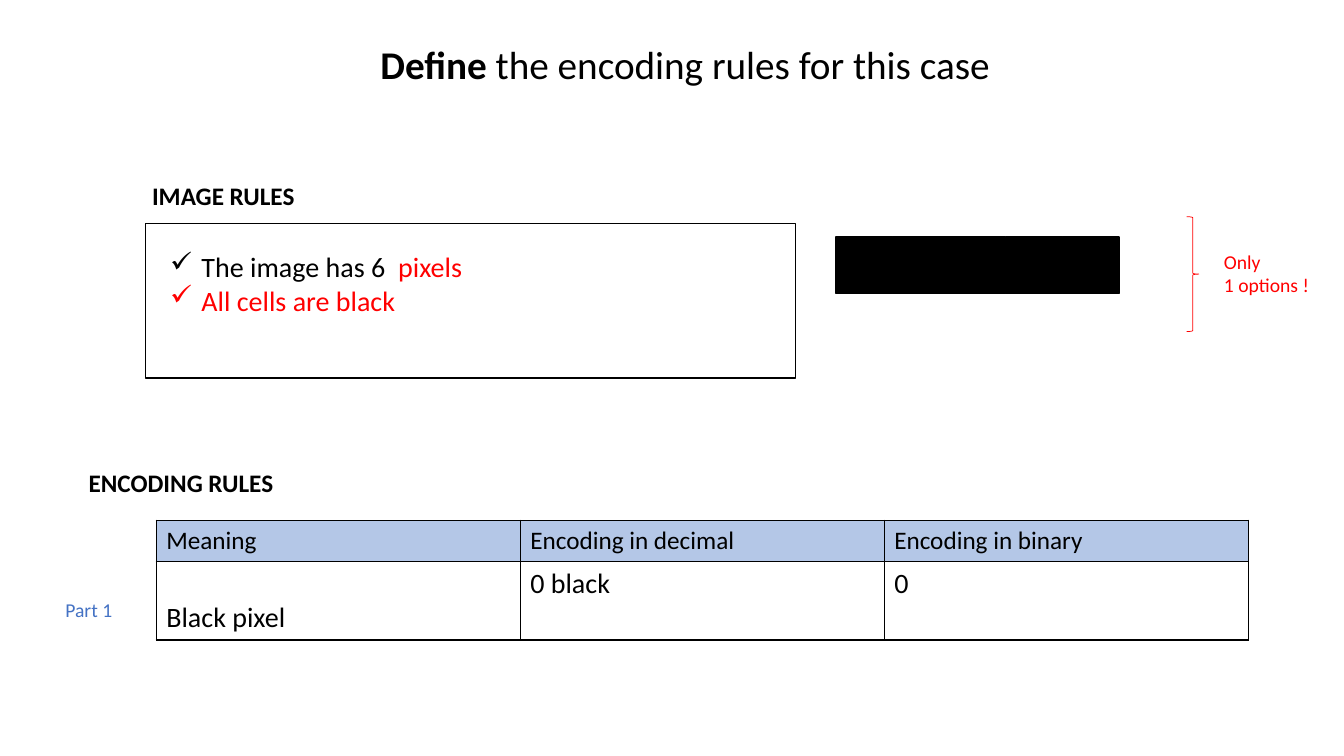
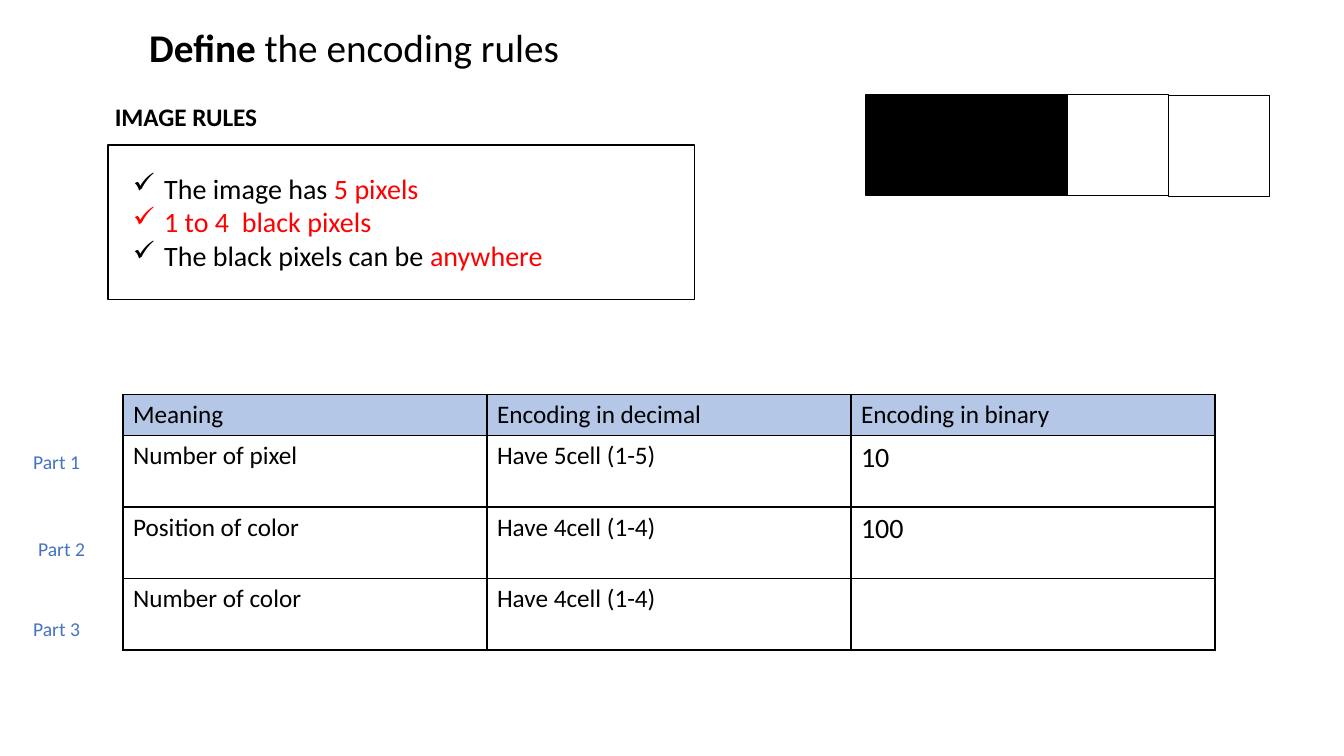
"""Build two slides that define encoding rules for small pixel images."""
from dataclasses import dataclass

from lxml.etree import SubElement
from pptx import Presentation
from pptx.dml.color import RGBColor
from pptx.enum.shapes import MSO_SHAPE as Shape
from pptx.enum.text import MSO_ANCHOR as Anchor, MSO_AUTO_SIZE as AutoSize, PP_ALIGN as Align
from pptx.oxml import parse_xml
from pptx.oxml.ns import nsdecls, qn
from pptx.util import Inches, Pt

FONT = "Calibri"
COLOURS = {
    "black": "000000",
    "white": "FFFFFF",
    "red": "FF0000",
    "blue": "4472C4",
    "header": "B4C7E7",
}
FORMATS = {
    "title": {"name": FONT, "size": Pt(28)},
    "heading": {"name": FONT, "size": Pt(18), "bold": True},
    "rule": {"name": FONT, "size": Pt(20)},
    "note": {"name": FONT, "size": Pt(14)},
}
HEADERS = ("Meaning", "Encoding in decimal", "Encoding in binary")
TABLE_WIDTH = 10.83
HEADER_HEIGHT = 0.41
BULLET_INDENT = 0.31


@dataclass(frozen=True)
class Box:
    left: float
    top: float
    width: float
    height: float

    def lengths(self) -> tuple:
        return tuple(Inches(value) for value in (self.left, self.top, self.width, self.height))


@dataclass(frozen=True)
class Run:
    text: str
    colour: str = "black"
    bold: bool = False


@dataclass(frozen=True)
class Label:
    box: Box
    style: str
    lines: tuple
    bulleted: bool = False


@dataclass(frozen=True)
class PixelStrip:
    left: float
    top: float
    side: float
    colours: tuple


@dataclass(frozen=True)
class RulesTable:
    left: float
    top: float
    row_height: float
    sizes: tuple
    rows: tuple
    anchors: tuple = (Anchor.TOP,) * 3


@dataclass(frozen=True)
class RulesSlide:
    title_box: Box
    title_align: Align
    title_rest: str
    frame: Box
    table: RulesTable
    labels: tuple
    strips: tuple


def colour(name: str) -> RGBColor:
    return RGBColor.from_string(COLOURS[name])


def set_font(font, values: dict, colour_name: str = "black") -> None:
    for name, value in values.items():
        setattr(font, name, value)
    font.color.rgb = colour(colour_name)


def fill_line(paragraph, runs: tuple, style: str) -> None:
    for item in runs:
        run = paragraph.add_run()
        run.text = item.text
        values = FORMATS[style]
        if item.bold:
            values = values | {"bold": True}
        set_font(run.font, values, item.colour)


def add_bullet(paragraph) -> None:
    properties = paragraph._p.get_or_add_pPr()
    properties.set("marL", str(Inches(BULLET_INDENT)))
    properties.set("indent", str(-Inches(BULLET_INDENT)))
    SubElement(properties, qn("a:buChar")).set("char", "✓")


def add_title(slide, content: RulesSlide) -> None:
    title = slide.shapes.title
    title.left, title.top, title.width, title.height = content.title_box.lengths()
    frame = title.text_frame
    frame.word_wrap = True
    frame.auto_size = AutoSize.NONE
    frame.vertical_anchor = Anchor.TOP
    paragraph = frame.paragraphs[0]
    paragraph.alignment = content.title_align
    fill_line(paragraph, (Run("Define", bold=True), Run(content.title_rest)), "title")


def add_label(slide, label: Label) -> None:
    frame = slide.shapes.add_textbox(*label.box.lengths()).text_frame
    frame.word_wrap = False
    for index, runs in enumerate(label.lines):
        paragraph = frame.add_paragraph() if index else frame.paragraphs[0]
        if label.bulleted:
            add_bullet(paragraph)
        fill_line(paragraph, runs, label.style)


def add_outline(slide, kind: Shape, box: Box, fill: str = "", line: str = "black", weight: float = 1) -> None:
    shape = slide.shapes.add_shape(kind, *box.lengths())
    shape.shadow.inherit = False
    if fill:
        shape.fill.solid()
        shape.fill.fore_color.rgb = colour(fill)
    else:
        shape.fill.background()
    shape.line.color.rgb = colour(line)
    shape.line.width = Pt(weight)


def add_strip(slide, strip: PixelStrip) -> None:
    for index, fill in enumerate(strip.colours):
        box = Box(strip.left + index * strip.side, strip.top, strip.side, strip.side)
        add_outline(slide, Shape.RECTANGLE, box, fill)


def add_borders(cell) -> None:
    properties = cell._tc.get_or_add_tcPr()
    for index, side in enumerate(("lnL", "lnR", "lnT", "lnB")):
        properties.insert(index, parse_xml(
            f'<a:{side} {nsdecls("a")} w="{Pt(1)}"><a:solidFill>'
            f'<a:srgbClr val="{COLOURS["black"]}"/></a:solidFill></a:{side}>'))


def add_rules_table(slide, content: RulesTable) -> None:
    rows = (HEADERS, *content.rows)
    height = HEADER_HEIGHT + content.row_height * len(content.rows)
    box = Box(content.left, content.top, TABLE_WIDTH, height)
    table = slide.shapes.add_table(len(rows), len(HEADERS), *box.lengths()).table
    table.first_row = table.horz_banding = False
    for column in table.columns:
        column.width = Inches(TABLE_WIDTH / len(HEADERS))
    for row_index, texts in enumerate(rows):
        is_header = row_index == 0
        table.rows[row_index].height = Inches(HEADER_HEIGHT if is_header else content.row_height)
        for column_index, text in enumerate(texts):
            cell = table.cell(row_index, column_index)
            cell.text = text
            size = 18 if is_header else content.sizes[column_index]
            set_font(cell.text_frame.paragraphs[0].font, {"name": FONT, "size": Pt(size)})
            if is_header:
                cell.fill.solid()
                cell.fill.fore_color.rgb = colour("header")
            else:
                cell.fill.background()
                cell.vertical_anchor = content.anchors[column_index]
            add_borders(cell)


def add_rules_slide(presentation, content: RulesSlide):
    slide = presentation.slides.add_slide(presentation.slide_layouts[5])
    add_title(slide, content)
    add_rules_table(slide, content.table)
    add_outline(slide, Shape.RECTANGLE, content.frame)
    for label in content.labels:
        add_label(slide, label)
    for strip in content.strips:
        add_strip(slide, strip)
    return slide


def heading(text: str, left: float, top: float, width: float) -> Label:
    return Label(Box(left, top, width, 0.4), "heading", ((Run(text),),))


def part(number: int, left: float, top: float) -> Label:
    return Label(Box(left, top, 0.67, 0.34), "note", ((Run(f"Part {number}", "blue"),),))


ONE_COLOUR = RulesSlide(
    title_box=Box(3, 0.35, 7.59, 0.57),
    title_align=Align.CENTER,
    title_rest=" the encoding rules for this case",
    frame=Box(1.44, 2.22, 6.45, 1.53),
    table=RulesTable(1.55, 5.16, 0.78, (20, 20, 20), (("Black pixel", "0 black", "0"),),
                     (Anchor.BOTTOM, Anchor.TOP, Anchor.TOP)),
    labels=(
        part(1, 0.55, 5.88),
        heading("ENCODING RULES", 0.78, 4.59, 2.06),
        heading("IMAGE RULES", 1.41, 1.74, 1.63),
        Label(Box(1.59, 2.43, 3.13, 0.77), "rule", (
            (Run("The image has 6  "), Run("pixels", "red")),
            (Run("All cells are black", "red"),),
        ), bulleted=True),
        Label(Box(12.04, 2.43, 1.05, 0.57), "note", (
            (Run("Only", "red"),),
            (Run("1 options !", "red"),),
        )),
    ),
    strips=(PixelStrip(8.29, 2.35, 2.81 / 5, ("black",) * 5),),
)

TWO_COLOURS = RulesSlide(
    title_box=Box(1.38, 0.18, 4.5, 0.57),
    title_align=Align.LEFT,
    title_rest=" the encoding rules",
    frame=Box(1.07, 1.44, 5.82, 1.53),
    table=RulesTable(1.22, 3.91, 0.71, (18, 18, 20), (
        ("Number of pixel", "Have 5cell (1-5)", "10"),
        ("Position of color", "Have 4cell (1-4)", "100"),
        ("Number of color", "Have 4cell (1-4)", ""),
    )),
    labels=(
        part(1, 0.23, 4.41),
        part(2, 0.28, 5.28),
        part(3, 0.23, 6.07),
        heading("IMAGE RULES", 1.04, 0.96, 1.63),
        Label(Box(1.22, 1.65, 4.31, 1.11), "rule", (
            (Run("The image has "), Run("5 pixels", "red")),
            (Run("1 to 4  black pixels", "red"),),
            (Run("The black pixels can be "), Run("anywhere", "red")),
        ), bulleted=True),
    ),
    strips=(
        PixelStrip(8.59, 0.94, 1, ("black", "black", "white")),
        PixelStrip(11.59, 0.95, 1, ("white",)),
    ),
)


def main() -> None:
    presentation = Presentation()
    presentation.slide_width = Inches(13.33)
    presentation.slide_height = Inches(7.5)
    slide = add_rules_slide(presentation, ONE_COLOUR)
    add_outline(slide, Shape.RIGHT_BRACE, Box(11.77, 2.15, 0.12, 1.14), line="red", weight=0.5)
    add_rules_slide(presentation, TWO_COLOURS)
    presentation.save("out.pptx")


if __name__ == "__main__":
    main()
